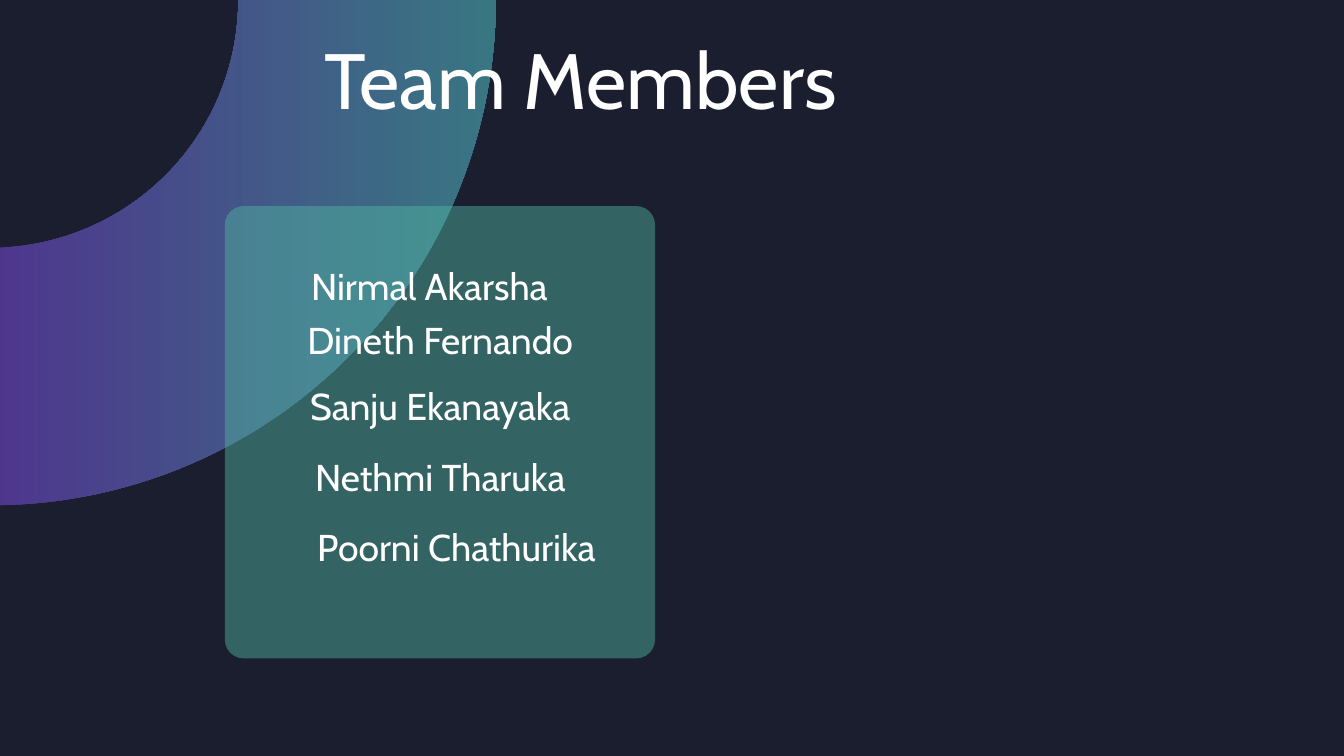
from math import cos, radians, sin, tan

from lxml import etree
from pptx import Presentation
from pptx.dml.color import RGBColor
from pptx.enum.shapes import MSO_SHAPE
from pptx.enum.text import MSO_ANCHOR, MSO_AUTO_SIZE, PP_ALIGN
from pptx.oxml.ns import qn
from pptx.util import Cm, Pt

ROUNDED = MSO_SHAPE.ROUNDED_RECTANGLE
TOP = MSO_ANCHOR.TOP
NO_AUTOFIT = MSO_AUTO_SIZE.NONE
CENTER = PP_ALIGN.CENTER

NAVY = RGBColor(0x1B, 0x1E, 0x2F)
PURPLE = RGBColor(0x8C, 0x52, 0xFF)
CYAN = RGBColor(0x5C, 0xE1, 0xE6)
GREEN = RGBColor(0x51, 0xB7, 0xA2)
WHITE = RGBColor(0xFF, 0xFF, 0xFF)
FONT = "Cabin"

# Content: lengths in centimetres
TITLE = "Team Members"
TITLE_BOX = (9.52, 1.19, 24.84, 4.04)
MEMBERS = [  # name, left, top
    ("Nirmal Akarsha", 3.81, 9.95),
    ("Dineth Fernando", 4.22, 11.99),
    ("Sanju Ekanayaka", 4.22, 14.5),
    ("Nethmi Tharuka", 4.22, 17.17),
    ("Poorni Chathurika", 4.83, 19.81),
]
MEMBER_SIZE = (24.84, 1.85)
CARD_BOX = (8.5, 7.79, 16.26, 17.1)
CARD_RADIUS = 0.71
RING_LEFT, RING_OUTER, RING_INNER = -0.36, 19.1, 9.37
RING_ARCS = [(RING_OUTER, (0, 45, 90)), (RING_INNER, (90, 45, 0))]


def set_opacity(shape, percent):
    for color in shape.fill._xPr.iter(qn("a:srgbClr")):
        etree.SubElement(color, qn("a:alpha"), val=str(percent * 1000))


def polar(radius, angle):
    return radius * cos(radians(angle)), radius * sin(radians(angle))


def curve_line(line, radius, start, end):
    """Turn a straight segment into a circular arc around the path origin."""
    handle = 4 / 3 * tan(radians(end - start) / 4)
    (x1, y1), (x2, y2) = polar(radius, start), polar(radius, end)
    curve = etree.Element(qn("a:cubicBezTo"))
    for x, y in ((x1 - handle * y1, y1 + handle * x1),
                 (x2 + handle * y2, y2 - handle * x2), (x2, y2)):
        etree.SubElement(curve, qn("a:pt"), x=str(Cm(x)), y=str(Cm(y)))
    line.getparent().replace(line, curve)


def add_ring(shapes):
    points = [polar(radius, angle)
              for radius, angles in RING_ARCS for angle in angles]
    points = [(Cm(RING_LEFT + x), Cm(y)) for x, y in points]
    builder = shapes.build_freeform(*points[0], scale=1.0)
    builder.add_line_segments(points[1:], close=True)
    ring = builder.convert_to_shape()
    lines = list(ring._element.iter(qn("a:lnTo")))
    for (radius, angles), pair in zip(RING_ARCS, (lines[:2], lines[3:5])):
        for line, start, end in zip(pair, angles, angles[1:]):
            curve_line(line, radius, start, end)
    return ring


def write_text(shape, text, size):
    frame = shape.text_frame
    frame_format = {"margin_left": 0, "margin_right": 0, "margin_top": 0,
                    "margin_bottom": 0, "word_wrap": True,
                    "vertical_anchor": TOP, "auto_size": NO_AUTOFIT}
    for name, value in frame_format.items():
        setattr(frame, name, value)
    paragraph = frame.paragraphs[0]
    paragraph.text = text
    paragraph_format = {"alignment": CENTER, "line_spacing": Pt(size * 1.2),
                        "space_before": Pt(0)}
    for name, value in paragraph_format.items():
        setattr(paragraph, name, value)
    for name, value in {"name": FONT, "size": Pt(size)}.items():
        setattr(paragraph.font, name, value)
    paragraph.font.color.rgb = WHITE


def main():
    presentation = Presentation()
    presentation.slide_width = Cm(50.8)
    presentation.slide_height = Cm(28.58)
    slide = presentation.slides.add_slide(presentation.slide_layouts[5])
    slide.background.fill.solid()
    slide.background.fill.fore_color.rgb = NAVY
    shapes = slide.shapes

    # Quarter ring in the top left corner
    ring = add_ring(shapes)
    ring.fill.gradient()
    ring.fill.gradient_angle = 0
    for stop, color in zip(ring.fill.gradient_stops, (PURPLE, CYAN)):
        stop.color.rgb = color
    set_opacity(ring, 45)

    # Card behind the names
    card = shapes.add_shape(ROUNDED, *map(Cm, CARD_BOX))
    card.adjustments[0] = CARD_RADIUS / CARD_BOX[2]
    card.fill.solid()
    card.fill.fore_color.rgb = GREEN
    set_opacity(card, 46)

    for shape in (ring, card):
        shape.line.fill.background()
        shape.shadow.inherit = False

    # Names, kept together as one group
    members = shapes.add_group_shape()
    for name, left, top in MEMBERS:
        box = members.shapes.add_textbox(*map(Cm, (left, top, *MEMBER_SIZE)))
        write_text(box, name, 40)

    # Title, moved in front of the ring
    title = shapes.title
    title.left, title.top, title.width, title.height = map(Cm, TITLE_BOX)
    write_text(title, TITLE, 84)
    shapes._spTree.append(title._element)

    presentation.save("out.pptx")


if __name__ == "__main__":
    main()
